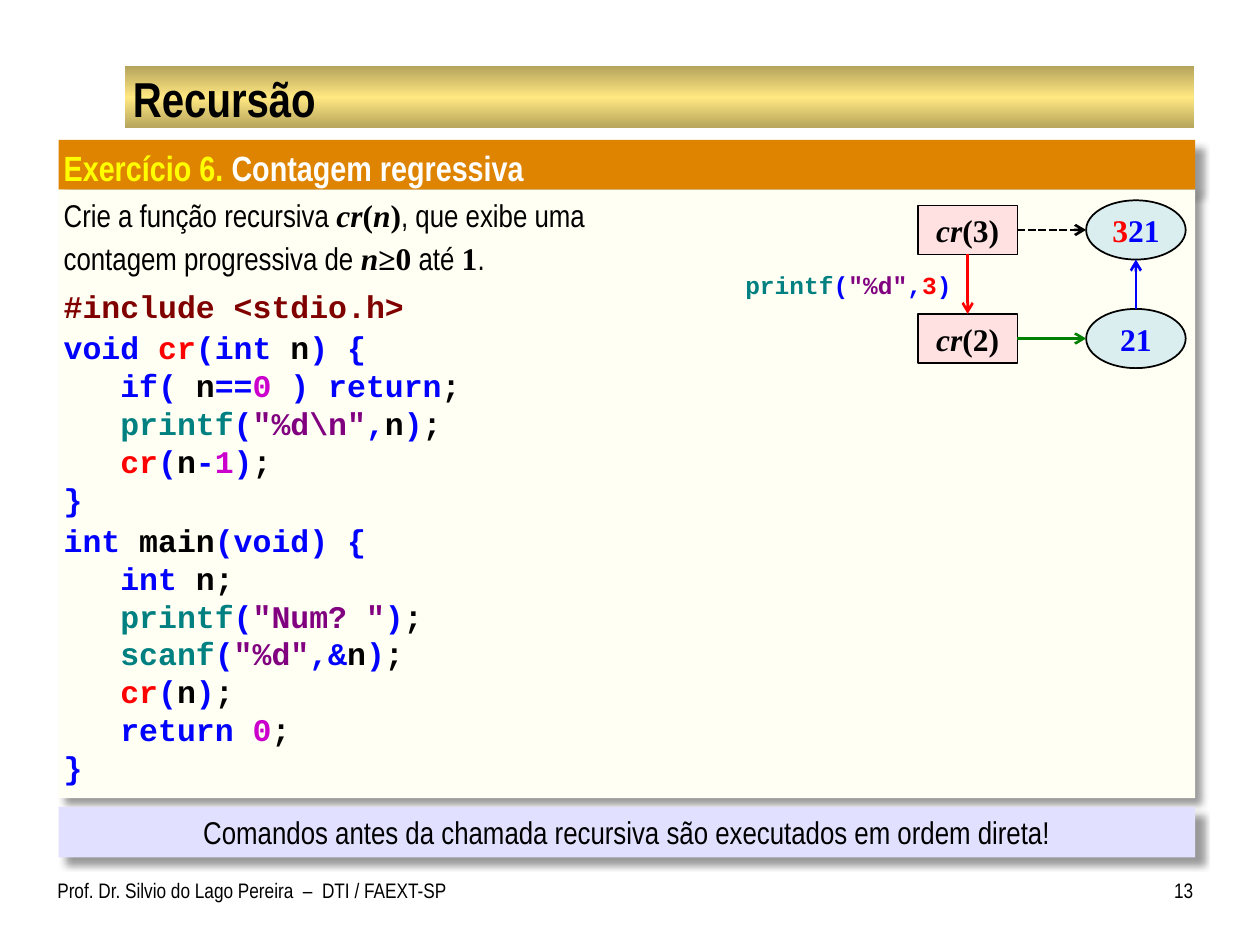
from pptx import Presentation, util as u
from pptx.dml.color import RGBColor
from pptx.enum import dml, shapes, text
from pptx.oxml import parse_xml
from pptx.oxml.ns import nsdecls

COLS, ROWS = 100, 75
COLORS = {
    "black": "000000", "white": "FFFFFF", "yellow": "FFFF00", "red": "FF0000",
    "blue": "0000FF", "green": "008000", "teal": "008080", "purple": "800080",
    "maroon": "800000", "magenta": "CC00CC", "orange": "DE8400",
    "cream": "FFFFF3", "lilac": "E1E1FF", "pink": "FFE1E1", "ice": "DAEDEF",
    "gold": "FFE781", "dark_gold": "B5A45C",
}
SANS, SERIF, MONO = "Arial Narrow", "Times New Roman", "Courier New"
LEFT, CENTER, RIGHT = (text.PP_ALIGN.LEFT, text.PP_ALIGN.CENTER,
                       text.PP_ALIGN.RIGHT)
TOP, MIDDLE = text.MSO_ANCHOR.TOP, text.MSO_ANCHOR.MIDDLE
RECT, OVAL = shapes.MSO_SHAPE.RECTANGLE, shapes.MSO_SHAPE.OVAL

MATH = dict(font=SERIF, bold=True)
VAR = dict(MATH, italic=True)
PROMPT = [
    [("Crie a função recursiva ", {}), ("cr", VAR), ("(", MATH), ("n", VAR),
     (")", MATH), (", que exibe uma", {})],
    [("contagem progressiva de ", {}), ("n", VAR), ("≥0", MATH),
     (" até ", {}), ("1", MATH), (".", {})],
]
# Each code line: space before in points, indent level, coloured tokens
CODE = [
    (6, 0, [("#include <stdio.h>", "maroon")]),
    (2, 0, [("void ", "blue"), ("cr", "red"), ("(int", "blue"),
            (" n", "black"), (") {", "blue")]),
    (0, 1, [("if(", "blue"), (" n", "black"), ("==", "blue"),
            ("0 ", "magenta"), (") return", "blue"), (";", "black")]),
    (0, 1, [("printf", "teal"), ("(", "blue"), ('"%d\\n"', "purple"),
            (",", "blue"), ("n", "black"), (")", "blue"), (";", "black")]),
    (0, 1, [("cr", "red"), ("(", "blue"), ("n", "black"), ("-", "blue"),
            ("1", "magenta"), (")", "blue"), (";", "black")]),
    (0, 0, [("}", "blue")]),
    (2, 0, [("int ", "blue"), ("main", "black"), ("(void) {", "blue")]),
    (0, 1, [("int ", "blue"), ("n;", "black")]),
    (0, 1, [("printf", "teal"), ("(", "blue"), ('"Num? "', "purple"),
            (")", "blue"), (";", "black")]),
    (0, 1, [("scanf", "teal"), ("(", "blue"), ('"%d"', "purple"),
            (",&", "blue"), ("n", "black"), (")", "blue"), (";", "black")]),
    (0, 1, [("cr", "red"), ("(", "blue"), ("n", "black"), (")", "blue"),
            (";", "black")]),
    (0, 1, [("return ", "blue"), ("0", "magenta"), (";", "black")]),
    (0, 0, [("}", "blue")]),
]


def rgb(name):
    return RGBColor.from_string(COLORS[name])


def add_text(p, content, font=SANS, size=18, color="black", bold=False,
             italic=False):
    r = p.add_run()
    r.text = content
    f = r.font
    f.name, f.size, f.bold, f.italic = font, u.Pt(size), bold, italic
    f.color.rgb = rgb(color)


def add_line(tf, runs, align=LEFT, before=0, indent=0, **base):
    """Add a paragraph of (text, format) runs, filling the first empty one."""
    p = tf.paragraphs[0]
    if p.runs:
        p = tf.add_paragraph()
    p.alignment, p.space_before = align, u.Pt(before)
    if indent:
        p._p.get_or_add_pPr().set("marL", str(u.Pt(indent)))
    for content, style in runs:
        add_text(p, content, **{**base, **style})


def set_frame(sp, margin_x, margin_y=0.05, anchor=TOP, wrap=True):
    """Set margins in inches: one horizontal value or a (left, right) pair."""
    tf = sp.text_frame
    left, right = margin_x if isinstance(margin_x, tuple) else (margin_x,) * 2
    tf.margin_left, tf.margin_right = u.Inches(left), u.Inches(right)
    tf.margin_top = tf.margin_bottom = u.Inches(margin_y)
    tf.vertical_anchor, tf.word_wrap = anchor, wrap
    return tf


class Deck:
    """Holds the presentation, its grid and the current slide."""

    def __init__(self):
        self.prs = Presentation()
        self.prs.slide_width, self.prs.slide_height = u.Inches(10), u.Inches(7.5)
        self.s = self.prs.slides.add_slide(self.prs.slide_layouts[5])

    def grid(self, x, y):
        return (round(self.prs.slide_width * x / COLS),
                round(self.prs.slide_height * y / ROWS))

    def box(self, x, y, w, h):
        return *self.grid(x, y), *self.grid(w, h)

    def title(self, content, *place):
        sp = self.s.shapes.title
        sp.left, sp.top, sp.width, sp.height = self.box(*place)
        self.s.shapes._spTree.append(sp._element)  # in front of its bar
        add_line(set_frame(sp, 0.06, 0.01, MIDDLE), [(content, {})],
                 size=28, bold=True)

    def shape(self, kind, fill, *place, line=None):
        sp = self.s.shapes.add_shape(kind, *self.box(*place))
        sp.shadow.inherit = False
        sp.fill.solid()
        sp.fill.fore_color.rgb = rgb(fill)
        if line:
            sp.line.color.rgb, sp.line.width = rgb(line), u.Pt(1)
        else:
            sp.line.fill.background()
        return sp

    def gold_bar(self, *place):
        sp = self.shape(RECT, "gold", *place)
        stops = "".join(
            f'<a:gs pos="{pos}"><a:srgbClr val="{COLORS[c]}"/></a:gs>'
            for pos, c in ((0, "dark_gold"), (50000, "gold"),
                           (100000, "dark_gold")))
        solid = sp._element.spPr.find("{*}solidFill")
        solid.getparent().replace(solid, parse_xml(
            f'<a:gradFill {nsdecls("a")}><a:gsLst>{stops}</a:gsLst>'
            '<a:lin ang="5400000" scaled="0"/></a:gradFill>'))

    def panel(self, fill, *place):
        """Add a rectangle with a soft shadow and return its text frame."""
        sp = self.shape(RECT, fill, *place)
        sp._element.spPr.find("{*}effectLst").append(parse_xml(
            f'<a:outerShdw {nsdecls("a")} blurRad="{u.Pt(4)}" '
            f'dist="{u.Pt(6)}" dir="2700000" algn="tl" rotWithShape="0">'
            f'<a:srgbClr val="{COLORS["black"]}"><a:alpha val="40000"/>'
            '</a:srgbClr></a:outerShdw>'))
        return set_frame(sp, 0.04)

    def node(self, kind, fill, runs, *place):
        sp = self.shape(kind, fill, *place, line="black")
        add_line(set_frame(sp, 0, 0.04, MIDDLE), runs, CENTER, **MATH)

    def label(self, runs, *place, margin=0, anchor=TOP, align=LEFT, **style):
        sp = self.s.shapes.add_textbox(*self.box(*place))
        add_line(set_frame(sp, margin, anchor=anchor, wrap=False), runs,
                 align, **style)

    def arrow(self, start, end, color, dashed=False):
        c = self.s.shapes.add_connector(
            shapes.MSO_CONNECTOR.STRAIGHT, *self.grid(*start), *self.grid(*end))
        c.line.color.rgb, c.line.width = rgb(color), u.Pt(1.5)
        if dashed:
            c.line.dash_style = dml.MSO_LINE.SQUARE_DOT
        c.line._get_or_add_ln().append(
            parse_xml(f'<a:tailEnd {nsdecls("a")} type="arrow"/>'))
        c._element.spPr.append(parse_xml(f'<a:effectLst {nsdecls("a")}/>'))


def add_call_diagram(d):
    call_x, out_x, width, call_h, out_h = 72.85, 86.2, 7.9, 3.9, 4.7
    upper, lower = 18.25, 26.87
    calls = ((upper, "(3)", [("3", {"color": "red"}), ("21", {"color": "blue"})]),
             (lower, "(2)", [("21", {"color": "blue"})]))
    for y, argument, output in calls:
        d.node(RECT, "pink", [("cr", VAR), (argument, {})],
               call_x, y - call_h / 2, width, call_h)
        d.node(OVAL, "ice", output, out_x, y - out_h / 2, width, out_h)
        d.arrow((call_x + width, y), (out_x, y),
                "black" if y == upper else "green", dashed=y == upper)
    call_mid, out_mid = call_x + width / 2, out_x + width / 2
    d.arrow((call_mid, upper + call_h / 2), (call_mid, lower - call_h / 2), "red")
    d.arrow((out_mid, lower - out_h / 2), (out_mid, upper + out_h / 2), "blue")
    tokens = (("printf", "teal"), ("(", "blue"), ('"%d"', "purple"),
              (",", "blue"), ("3", "red"), (")", "blue"))
    d.label([(t, {"color": c}) for t, c in tokens], 59.15, 20.65, 16.5, 3.9,
            anchor=MIDDLE, font=MONO, size=14, bold=True)


def main():
    d = Deck()
    left, width = 4.65, 90.2
    d.gold_bar(9.9, 5.25, 84.9, 4.95)
    d.title("Recursão", 9.95, 5.4, 84.7, 4.7)
    d.label([("Prof. Dr. Silvio do Lago Pereira  –  DTI / FAEXT-SP", {})],
            4.55, 69.15, 32.7, 4.2, margin=(0, 0.1), size=12)
    d.label([("13", {})], 90.8, 69.15, 3.9, 4.2, margin=(0.1, 0),
            align=RIGHT, size=12)

    add_line(d.panel("orange", left, 11.1, width, 3.95),
             [("Exercício 6.", {"color": "yellow"}),
              (" Contagem regressiva", {"color": "white"})],
             size=20, bold=True)
    tf = d.panel("cream", left, 15.05, width, 48.3)
    for runs in PROMPT:
        add_line(tf, runs, before=3)
    for before, level, tokens in CODE:
        add_line(tf, [(t, {"color": c}) for t, c in tokens], before=before,
                 indent=32.4 * level, font=MONO, bold=True)
    add_line(d.panel("lilac", left, 64.05, width, 4),
             [("Comandos antes da chamada recursiva são executados em ordem "
               "direta!", {})], CENTER)
    add_call_diagram(d)
    d.prs.save("out.pptx")


if __name__ == "__main__":
    main()
